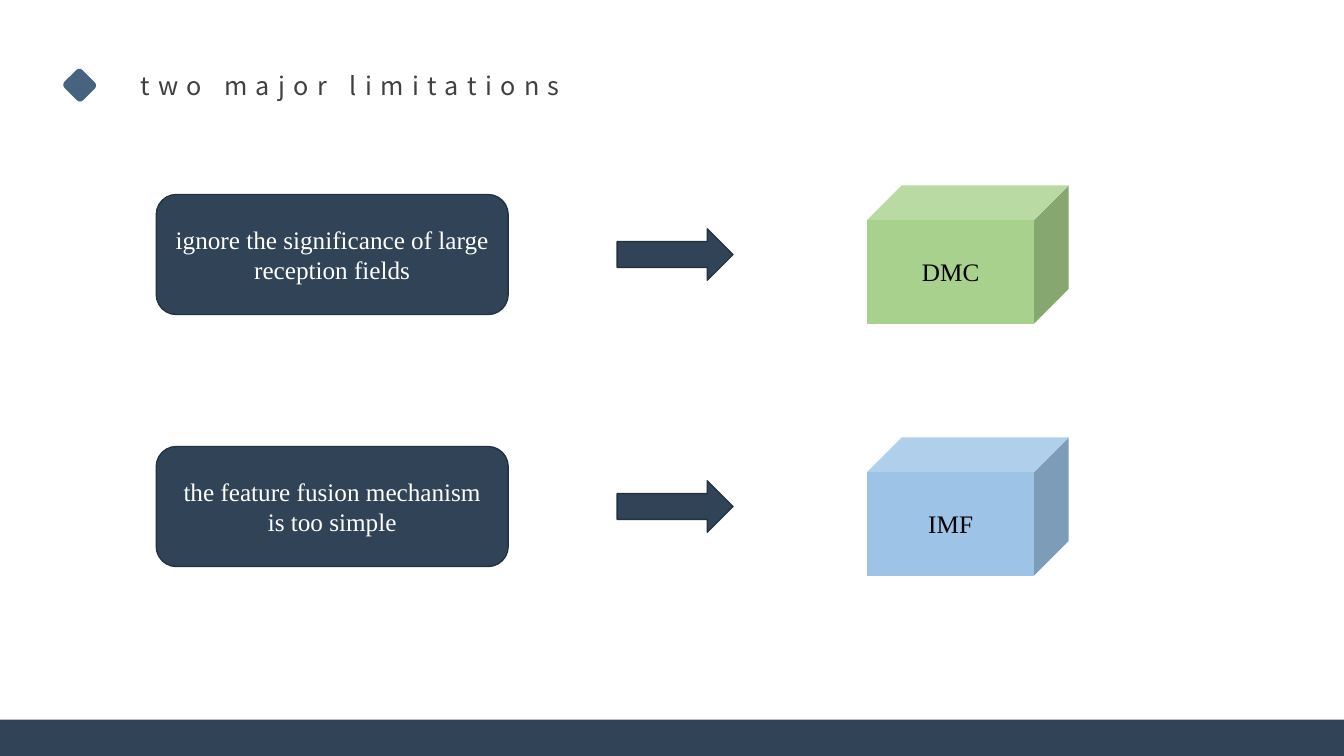
"""Build a slide that pairs two limitations with the modules that address them."""
from dataclasses import dataclass
from typing import Optional

import pptx
import pptx.dml.color
import pptx.enum.shapes
import pptx.enum.text
import pptx.util

Inches = pptx.util.Inches
Shapes = pptx.enum.shapes.MSO_SHAPE
Align = pptx.enum.text.PP_ALIGN
Anchor = pptx.enum.text.MSO_ANCHOR

COLORS = {
    "navy": "314457",
    "edge": "243240",
    "slate": "48637F",
    "heading": "404040",
    "green": "A9D18E",
    "blue": "9DC3E6",
    "white": "FFFFFF",
    "black": "000000",
}
FIRST_ROW_CENTER = 2.525
ROW_STEP = 2.5


@dataclass(frozen=True)
class Limitation:
    problem: str
    module: str
    module_color: str


@dataclass(frozen=True)
class Block:
    kind: pptx.enum.shapes.MSO_SHAPE
    left: float
    top: float
    width: float
    height: float
    fill: str
    line: Optional[str] = None
    text: str = ""
    text_color: str = "white"


LIMITATIONS = [
    Limitation("ignore the significance of large reception fields", "DMC", "green"),
    Limitation("the feature fusion mechanism is too simple", "IMF", "blue"),
]


def rgb(name: str) -> pptx.dml.color.RGBColor:
    return pptx.dml.color.RGBColor.from_string(COLORS[name])


def write(frame: pptx.text.text.TextFrame, text: str, font_name: str,
          color: str, align: Align) -> None:
    frame.text = text
    frame.vertical_anchor = Anchor.MIDDLE
    paragraph = frame.paragraphs[0]
    paragraph.alignment = align
    font = paragraph.runs[0].font
    font.name = font_name
    font.size = pptx.util.Pt(18)
    font.color.rgb = rgb(color)


def draw_block(slide: pptx.slide.Slide, block: Block) -> pptx.shapes.autoshape.Shape:
    shape = slide.shapes.add_shape(
        block.kind, Inches(block.left), Inches(block.top),
        Inches(block.width), Inches(block.height))
    shape.shadow.inherit = False
    shape.fill.solid()
    shape.fill.fore_color.rgb = rgb(block.fill)
    if block.line:
        shape.line.color.rgb = rgb(block.line)
        shape.line.width = pptx.util.Pt(1)
    else:
        shape.line.fill.background()
    if block.text:
        write(shape.text_frame, block.text, "Times New Roman",
              block.text_color, Align.CENTER)
        shape.text_frame.word_wrap = True
    return shape


def draw_heading(slide: pptx.slide.Slide) -> None:
    diamond = draw_block(
        slide, Block(Shapes.ROUNDED_RECTANGLE, 0.66, 0.72, 0.26, 0.25, "slate"))
    diamond.rotation = 45
    title = slide.shapes.title
    title.left, title.top = Inches(1.29), Inches(0.65)
    title.width, title.height = Inches(4.58), Inches(0.4)
    frame = title.text_frame
    write(frame, "two major limitations", "Noto Sans CJK SC", "heading", Align.LEFT)
    frame.word_wrap = False
    frame.auto_size = pptx.enum.text.MSO_AUTO_SIZE.NONE
    frame.paragraphs[0].runs[0]._r.get_or_add_rPr().set("spc", "600")


def draw_limitation(slide: pptx.slide.Slide, item: Limitation, center: float) -> None:
    blocks = [
        Block(Shapes.ROUNDED_RECTANGLE, 1.55, center - 0.595, 3.49, 1.19,
              "navy", "edge", item.problem),
        Block(Shapes.RIGHT_ARROW, 6.12, center - 0.255, 1.15, 0.51, "navy", "edge"),
        Block(Shapes.CUBE, 8.6, center - 0.685, 2, 1.37,
              item.module_color, None, item.module, "black"),
    ]
    for block in blocks:
        draw_block(slide, block)


def main() -> None:
    deck = pptx.Presentation()
    deck.slide_width, deck.slide_height = Inches(13.33), Inches(7.5)
    slide = deck.slides.add_slide(deck.slide_layouts.get_by_name("Title Only"))
    draw_heading(slide)
    draw_block(slide, Block(Shapes.RECTANGLE, 0, 7.14, 13.33, 0.36, "navy"))
    for row, item in enumerate(LIMITATIONS):
        draw_limitation(slide, item, FIRST_ROW_CENTER + row * ROW_STEP)
    deck.save("out.pptx")


if __name__ == "__main__":
    main()
